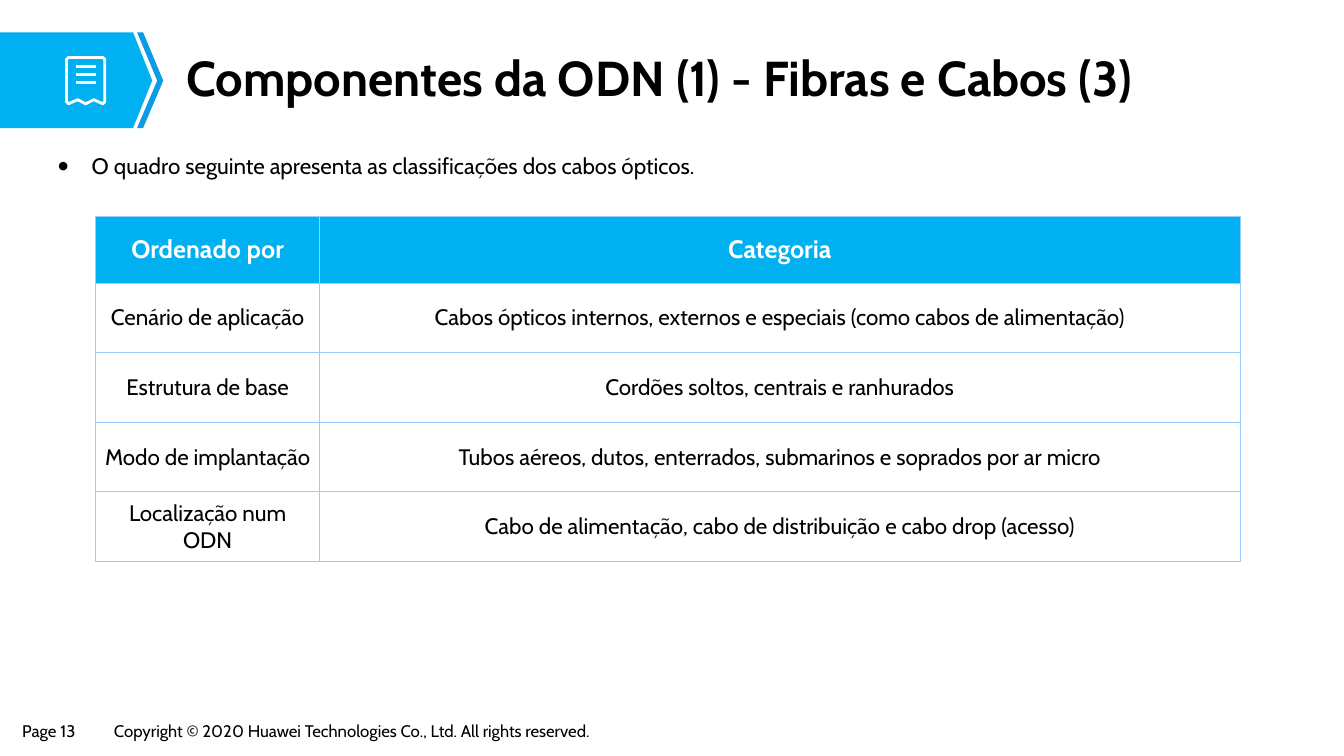
from dataclasses import dataclass

import pptx
import pptx.dml.color
import pptx.enum.shapes
import pptx.enum.text
import pptx.oxml
import pptx.oxml.ns
import pptx.shapes.base
import pptx.slide
import pptx.table
import pptx.text.text
import pptx.util

PX = 9144  # EMU per px, 100 px to the inch
ALIGN = pptx.enum.text.PP_ALIGN
ANCHOR = pptx.enum.text.MSO_ANCHOR


@dataclass(frozen=True)
class Theme:
    font: str = "Cabin"
    black: str = "000000"
    white: str = "FFFFFF"
    blue: str = "00B0F0"
    deep_blue: str = "0B9CE5"
    border: str = "99CCFF"
    title_size: int = 35
    header_size: int = 18
    body_size: int = 16
    footer_size: int = 12


@dataclass(frozen=True)
class Box:
    left: int
    top: int
    width: int
    height: int


@dataclass(frozen=True)
class Outline:
    points: tuple[tuple[int, int], ...]
    fill: str | None = None
    line: str | None = None


@dataclass(frozen=True)
class Footer:
    text: str
    box: Box


THEME = Theme()
FOOTERS = (
    Footer("Page 13", Box(13, 711, 81, 29)),
    Footer("Copyright © 2020 Huawei Technologies Co., Ltd. All rights reserved.",
           Box(104, 711, 541, 29)),
)
BANNER = Outline(((0, 32), (132, 32), (151, 80), (132, 127), (0, 127)), fill=THEME.blue)
CHEVRON = Outline(((136, 32), (142, 32), (162, 80), (142, 127), (136, 127), (156, 80)),
                  fill=THEME.deep_blue)
RECEIPT = Outline(((68, 57), (102, 57), (104, 59), (104, 101), (102, 103), (93, 99), (85, 103),
                   (77, 99), (68, 103), (66, 101), (66, 59)), line=THEME.white)
RECEIPT_LINES = range(66, 83, 8)
TABLE_BOX = Box(95, 215, 1135, 342)
COLUMN_WIDTHS = (222, 913)
ROW_HEIGHTS = (66, 69, 69, 69, 69)
ROWS = (
    ("Ordenado por", "Categoria"),
    ("Cenário de aplicação",
     "Cabos ópticos internos, externos e especiais (como cabos de alimentação)"),
    ("Estrutura de base", "Cordões soltos, centrais e ranhurados"),
    ("Modo de implantação", "Tubos aéreos, dutos, enterrados, submarinos e soprados por ar micro"),
    ("Localização num ODN", "Cabo de alimentação, cabo de distribuição e cabo drop (acesso)"),
)


def px(length: int) -> int:
    return length * PX


def rgb(color: str) -> pptx.dml.color.RGBColor:
    return pptx.dml.color.RGBColor.from_string(color)


def add_bullet(paragraph: pptx.text.text._Paragraph) -> None:
    properties = paragraph._p.get_or_add_pPr()
    properties.set("marL", str(px(33)))
    properties.set("indent", str(-px(33)))
    for tag, name, value in (("buSzPct", "val", "50000"), ("buFont", "typeface", THEME.font),
                             ("buChar", "char", "●")):
        element = pptx.oxml.parse_xml(f'<a:{tag} {pptx.oxml.ns.nsdecls("a")} {name}="{value}"/>')
        properties.append(element)


def write_text(frame: pptx.text.text.TextFrame, text: str, *, size: int,
               color: str = THEME.black, bold: bool = False, align: ALIGN = ALIGN.LEFT,
               spacing: float = 1.0, bullet: bool = False) -> None:
    paragraph = frame.paragraphs[0]
    paragraph.alignment = align
    paragraph.line_spacing = spacing
    if bullet:
        add_bullet(paragraph)
    run = paragraph.add_run()
    run.text = text
    run.font.name = THEME.font
    run.font.size = pptx.util.Pt(size)
    run.font.bold = bold
    run.font.color.rgb = rgb(color)


def add_text_frame(slide: pptx.slide.Slide, box: Box, *, margins: tuple[int, int] = (9, 4),
                   anchor: ANCHOR = ANCHOR.TOP, wrap: bool = True) -> pptx.text.text.TextFrame:
    frame = slide.shapes.add_textbox(px(box.left), px(box.top), px(box.width),
                                     px(box.height)).text_frame
    frame.word_wrap = wrap
    frame.vertical_anchor = anchor
    frame.margin_left = frame.margin_right = px(margins[0])
    frame.margin_top = frame.margin_bottom = px(margins[1])
    return frame


def add_outline(slide: pptx.slide.Slide, outline: Outline) -> None:
    builder = slide.shapes.build_freeform(*outline.points[0], scale=PX)
    builder.add_line_segments(outline.points[1:], close=True)
    shape = builder.convert_to_shape()
    shape.shadow.inherit = False
    if outline.fill:
        shape.fill.solid()
        shape.fill.fore_color.rgb = rgb(outline.fill)
    else:
        shape.fill.background()
    if outline.line:
        shape.line.color.rgb = rgb(outline.line)
        shape.line.width = pptx.util.Pt(2)
    else:
        shape.line.fill.background()


def add_receipt_line(slide: pptx.slide.Slide, y: int) -> None:
    connector = slide.shapes.add_connector(pptx.enum.shapes.MSO_CONNECTOR.STRAIGHT,
                                           px(75), px(y), px(95), px(y))
    connector.line.color.rgb = rgb(THEME.white)
    connector.line.width = pptx.util.Pt(2)
    connector._element.spPr.append(
        pptx.oxml.parse_xml(f'<a:effectLst {pptx.oxml.ns.nsdecls("a")}/>'))


def set_borders(cell: pptx.table._Cell) -> None:
    properties = cell._tc.get_or_add_tcPr()
    for position, side in enumerate(("lnL", "lnR", "lnT", "lnB")):
        properties.insert(position, pptx.oxml.parse_xml(
            f'<a:{side} {pptx.oxml.ns.nsdecls("a")} w="{pptx.util.Pt(1)}"><a:solidFill>'
            f'<a:srgbClr val="{THEME.border}"/></a:solidFill></a:{side}>'))


def fill_cell(cell: pptx.table._Cell, text: str, header: bool, margin: int) -> None:
    cell.margin_left = cell.margin_right = px(margin)
    cell.margin_top = cell.margin_bottom = 0
    cell.vertical_anchor = ANCHOR.MIDDLE
    if header:
        cell.fill.solid()
        cell.fill.fore_color.rgb = rgb(THEME.blue)
    else:
        cell.fill.background()
    set_borders(cell)
    write_text(cell.text_frame, text, size=THEME.header_size if header else THEME.body_size,
               color=THEME.white if header else THEME.black, bold=header, align=ALIGN.CENTER)


def add_cable_table(slide: pptx.slide.Slide) -> None:
    table = slide.shapes.add_table(len(ROWS), len(COLUMN_WIDTHS), px(TABLE_BOX.left),
                                   px(TABLE_BOX.top), px(TABLE_BOX.width),
                                   px(TABLE_BOX.height)).table
    table.first_row = table.horz_banding = False
    for column, width in zip(table.columns, COLUMN_WIDTHS):
        column.width = px(width)
    for row_index, (row, height, texts) in enumerate(zip(table.rows, ROW_HEIGHTS, ROWS)):
        row.height = px(height)
        for column_index, (cell, text) in enumerate(zip(row.cells, texts)):
            header = row_index == 0
            fill_cell(cell, text, header, 7 if header or column_index == 0 else 1)


def main() -> None:
    presentation = pptx.Presentation()
    presentation.slide_width, presentation.slide_height = px(1333), px(750)
    slide = presentation.slides.add_slide(presentation.slide_layouts[6])

    # Footer
    for footer in FOOTERS:
        write_text(add_text_frame(slide, footer.box, wrap=False), footer.text,
                   size=THEME.footer_size)

    # Banner with receipt icon
    for outline in (BANNER, CHEVRON, RECEIPT):
        add_outline(slide, outline)
    for y in RECEIPT_LINES:
        add_receipt_line(slide, y)

    # Title and introduction
    write_text(add_text_frame(slide, Box(174, 45, 1075, 70), margins=(11, 6),
                              anchor=ANCHOR.MIDDLE),
               "Componentes da ODN (1) - Fibras e Cabos (3)",
               size=THEME.title_size, bold=True, spacing=0.9)
    write_text(add_text_frame(slide, Box(49, 136, 1236, 512)),
               "O quadro seguinte apresenta as classificações dos cabos ópticos.",
               size=THEME.body_size, align=ALIGN.JUSTIFY, spacing=1.4, bullet=True)

    # Cable classification table
    add_cable_table(slide)
    presentation.save("out.pptx")


if __name__ == "__main__":
    main()
